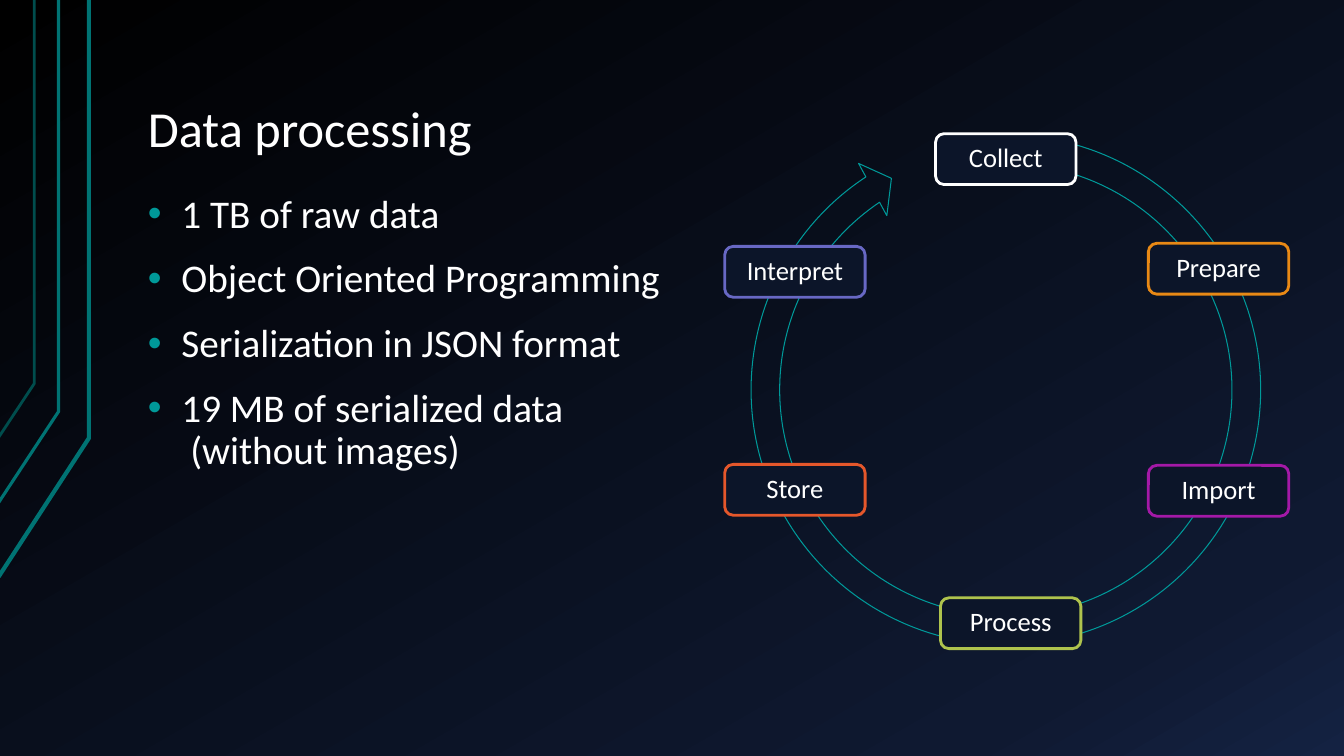
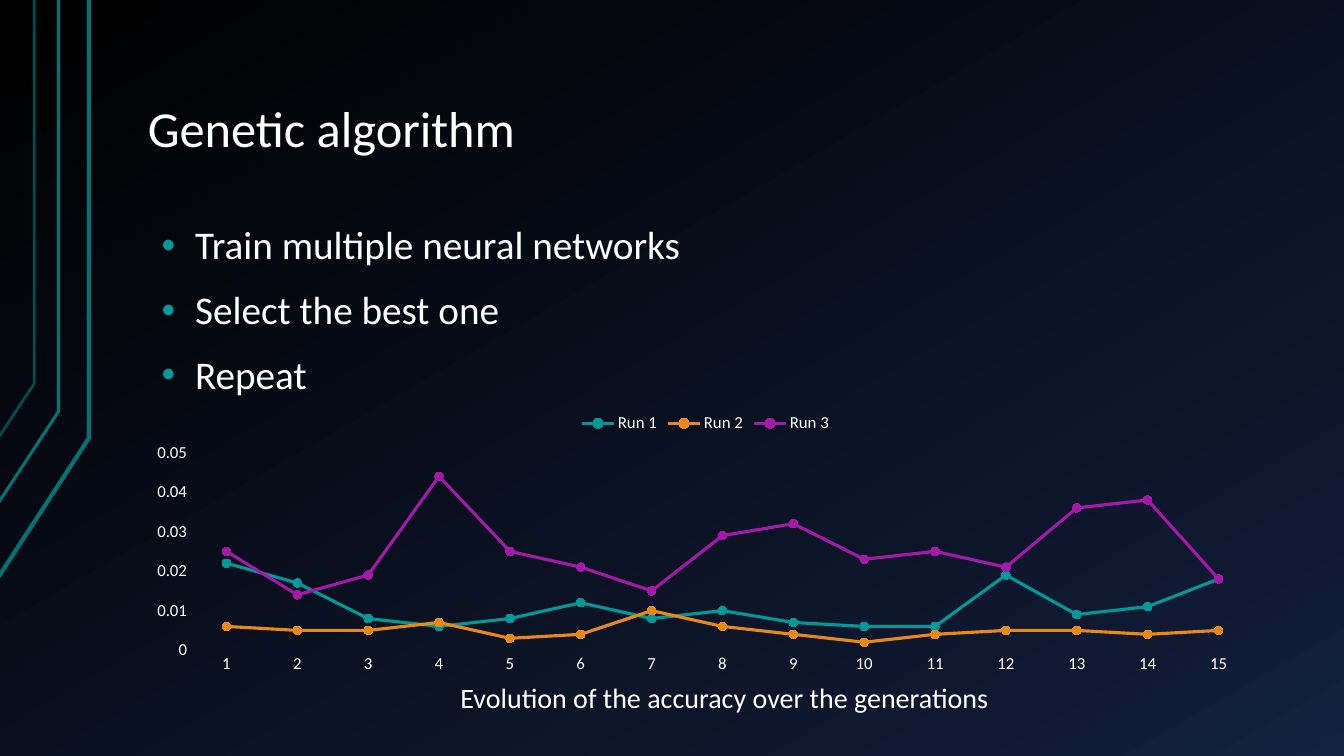
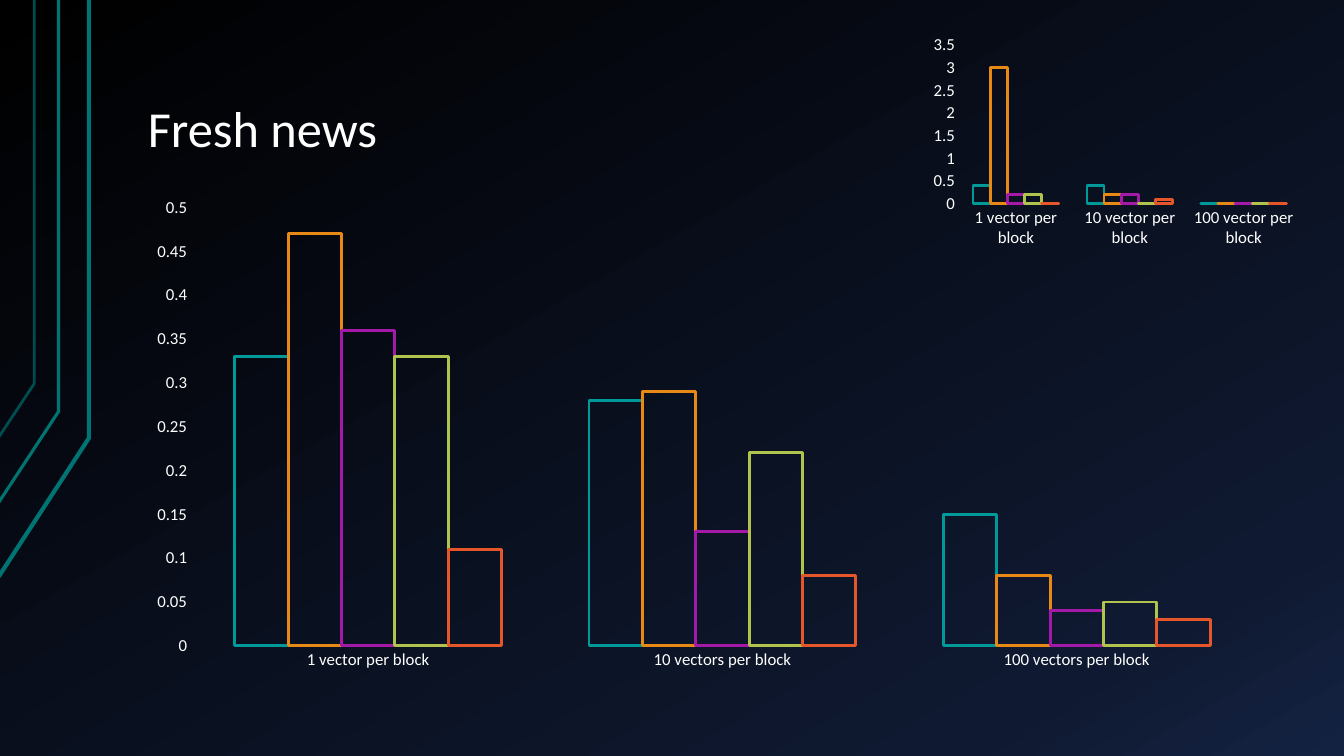
from copy import deepcopy

from lxml.etree import SubElement
from pptx import Presentation
from pptx.chart.data import CategoryChartData
from pptx.dml.color import RGBColor
from pptx.enum.chart import XL_CHART_TYPE as ChartType
from pptx.enum.chart import XL_LEGEND_POSITION as LegendPosition
from pptx.enum.chart import XL_MARKER_STYLE as MarkerStyle
from pptx.enum.chart import XL_TICK_MARK as TickMark
from pptx.enum.shapes import MSO_SHAPE as Shape
from pptx.enum.text import MSO_ANCHOR as Anchor
from pptx.enum.text import MSO_AUTO_SIZE as AutoSize
from pptx.enum.text import PP_ALIGN as Align
from pptx.oxml.ns import qn
from pptx.util import Pt

FONT = "Calibri"
WHITE = RGBColor(0xFF, 0xFF, 0xFF)
TEAL = RGBColor(0x00, 0x99, 0x99)
ORANGE = RGBColor(0xE9, 0x89, 0x15)
PURPLE = RGBColor(0xA4, 0x19, 0xA7)
LIME = RGBColor(0xAF, 0xC3, 0x4D)
RED = RGBColor(0xE5, 0x57, 0x2B)
VIOLET = RGBColor(0x68, 0x68, 0xC4)
NAVY = RGBColor(0x0C, 0x15, 0x29)
DEEP_TEAL = RGBColor(0x00, 0x73, 0x73)
DIM_TEAL = RGBColor(0x00, 0x4D, 0x4D)
SERIES_COLOURS = [TEAL, ORANGE, PURPLE, LIME, RED]

GRADIENT = [
    (0, RGBColor(0x00, 0x00, 0x00)),
    (0.85, RGBColor(0x0F, 0x19, 0x31)),
    (1, RGBColor(0x14, 0x22, 0x42)),
]
# Each stripe: x of the upright, y of the bend, y at the left edge, width, colour
STRIPES = [
    (63.5, 313, 412, 3, DEEP_TEAL),
    (41.8, 294, 359, 2.25, DEEP_TEAL),
    (24.5, 274, 312.5, 2, DIM_TEAL),
]
TITLE_AREA = (96, 21.6, 816, 96.5)
BODY_AREA = (96, 134, 816, 351.5)
TITLE_SIZE, BODY_SIZE = 36, 28

PROCESSING_POINTS = [
    "1 TB of raw data",
    "Object Oriented Programming",
    "Serialization in JSON format",
    "19 MB of serialized data\v (without images)",
]
CYCLE_AREA = (525.5, 85.5, 386, 386)
CYCLE_ANGLES = [0.053, 3.126, 147.708, 168.157, 0.055]
STEP_SIZE = (100.3, 36.3)
STEPS = [
    ("Collect", 668.3, 95.5, WHITE),
    ("Prepare", 820.3, 173.8, ORANGE),
    ("Import", 820.3, 332.4, PURPLE),
    ("Process", 671.8, 427, LIME),
    ("Store", 517.7, 331.7, RED),
    ("Interpret", 517.7, 176, VIOLET),
]

GENETIC_POINTS = ["Train multiple neural networks", "Select the best one", "Repeat"]
GENETIC_AREA = (105.8, 156.6, 816, 351.5)
CAPTION = "Evolution of the accuracy over the generations"
CAPTION_AREA = (313.5, 482.4, 408, 31.7)
ACCURACY = {
    "area": (96, 287, 816, 198.5),
    "scale": (0.05, 0.01),
    "categories": [str(number) for number in range(1, 16)],
    "series": {
        "Run 1": [0.022, 0.017, 0.008, 0.006, 0.008, 0.012, 0.008, 0.01,
                  0.007, 0.006, 0.006, 0.019, 0.009, 0.011, 0.018],
        "Run 2": [0.006, 0.005, 0.005, 0.007, 0.003, 0.004, 0.01, 0.006,
                  0.004, 0.002, 0.004, 0.005, 0.005, 0.004, 0.005],
        "Run 3": [0.025, 0.014, 0.019, 0.044, 0.025, 0.021, 0.015, 0.029,
                  0.032, 0.023, 0.025, 0.021, 0.036, 0.038, 0.018],
    },
}
NEWS_CHARTS = [
    {
        "area": BODY_AREA,
        "scale": (0.5, 0.05),
        "categories": ["1 vector per block", "10 vectors per block", "100 vectors per block"],
        "series": {
            "Series 1": [0.33, 0.28, 0.15],
            "Series 2": [0.47, 0.29, 0.08],
            "Series 3": [0.36, 0.13, 0.04],
            "Series 4": [0.33, 0.22, 0.05],
            "Series 5": [0.11, 0.08, 0.03],
        },
    },
    {
        "area": (661.5, 21.8, 273, 158.4),
        "scale": (3.5, 0.5),
        "categories": ["1 vector per block", "10 vector per block", "100 vector per block"],
        "series": {
            "Series 1": [0.4, 0.4, 0],
            "Series 2": [3, 0.2, 0],
            "Series 3": [0.2, 0.2, 0],
            "Series 4": [0.2, 0, 0],
            "Series 5": [0, 0.1, 0],
        },
    },
]


def points(area):
    return [Pt(length) for length in area]


def place(box, area):
    box.left, box.top, box.width, box.height = points(area)


def write(box, lines, size, align=Align.LEFT, spacing=0.9, before=0, bullet=None):
    frame = box.text_frame
    frame.word_wrap = True
    for index, line in enumerate(lines):
        para = frame.add_paragraph() if index else frame.paragraphs[0]
        para.text = line
        para.alignment = align
        para.line_spacing = spacing
        para.space_before = Pt(before)
        for span in para.runs:
            span.font.name = FONT
            span.font.size = Pt(size)
            span.font.color.rgb = WHITE
        if bullet:
            add_bullet(para, bullet)


def add_bullet(para, colour):
    properties = para._p.get_or_add_pPr()
    properties.set("marL", str(Pt(24)))
    properties.set("indent", str(-Pt(24)))
    holder = SubElement(properties, qn("a:buClr"))
    SubElement(holder, qn("a:srgbClr"), val=str(colour))
    SubElement(properties, qn("a:buFont"), typeface="Arial")
    SubElement(properties, qn("a:buChar"), char="•")


def style_master(master):
    fill = master.background.fill
    fill.gradient()
    fill.gradient_angle = 300
    stop_list = master.element.xpath("p:cSld/p:bg//a:gsLst")[0]
    stop_list.append(deepcopy(stop_list[-1]))
    for stop, (position, colour) in zip(fill.gradient_stops, GRADIENT):
        stop.position = position
        stop.color.rgb = colour

    title, body, *_ = master.placeholders
    for box, area, anchor, style, size in [
        (title, TITLE_AREA, Anchor.BOTTOM, "titleStyle", TITLE_SIZE),
        (body, BODY_AREA, Anchor.TOP, "bodyStyle", BODY_SIZE),
    ]:
        place(box, area)
        frame = box.text_frame
        frame.auto_size = AutoSize.NONE
        frame.vertical_anchor = anchor
        frame.margin_left = frame.margin_right = Pt(9.6)
        frame.margin_top = frame.margin_bottom = Pt(4.8)
        default = master.element.xpath(f"p:txStyles/p:{style}/a:lvl1pPr/a:defRPr")[0]
        default.set("sz", str(size * 100))


def add_stripes(master, page):
    """Draw the stripes on a page, then move them to the master, which cannot build outlines."""
    for index, (upright, bend, end, width, colour) in enumerate(STRIPES):
        builder = page.shapes.build_freeform(Pt(-1), Pt(end))
        builder.add_line_segments(
            [(Pt(upright), Pt(bend)), (Pt(upright), Pt(0))], close=False)
        stripe = builder.convert_to_shape()
        stripe.shadow.inherit = False
        stripe.fill.background()
        stripe.line.color.rgb = colour
        stripe.line.width = Pt(width)
        stripe.element.xpath(".//p:cNvPr")[0].set("id", str(100 + index))
        master.shapes.element.append(stripe.element)


def add_page(deck, title, items=(), area=BODY_AREA):
    page = deck.slides.add_slide(deck.slide_layouts[1 if items else 5])
    write(page.shapes.title, [title], TITLE_SIZE)
    if items:
        body = page.placeholders[1]
        place(body, area)
        write(body, items, BODY_SIZE, before=16, bullet=TEAL)
    return page


def add_outlined(page, kind, area, colour, width):
    shape = page.shapes.add_shape(kind, *points(area))
    shape.shadow.inherit = False
    shape.fill.background()
    shape.line.color.rgb = colour
    shape.line.width = Pt(width)
    return shape


def add_cycle(page):
    arrow = add_outlined(page, Shape.CIRCULAR_ARROW, CYCLE_AREA, TEAL, 0.75)
    arrow.rotation = 350.2
    for index, value in enumerate(CYCLE_ANGLES):
        arrow.adjustments[index] = value
    for name, left, top, colour in STEPS:
        step = add_outlined(page, Shape.ROUNDED_RECTANGLE, (left, top, *STEP_SIZE), colour, 2)
        step.fill.solid()
        step.fill.fore_color.rgb = NAVY
        step.text_frame.vertical_anchor = Anchor.MIDDLE
        write(step, [name], 19, align=Align.CENTER)


def add_plain_chart(page, kind, content):
    """Add a chart without gridlines or axis lines, its series still unstyled."""
    data = CategoryChartData()
    data.categories = content["categories"]
    for name, values in content["series"].items():
        data.add_series(name, values)
    chart = page.shapes.add_chart(kind, *points(content["area"]), data).chart
    chart.has_title = False
    chart.has_legend = False
    chart.font.name = FONT
    chart.font.size = Pt(12)
    chart.font.color.rgb = WHITE
    for axis in (chart.category_axis, chart.value_axis):
        axis.has_major_gridlines = False
        axis.major_tick_mark = axis.minor_tick_mark = TickMark.NONE
        axis.format.line.fill.background()
    scale = chart.value_axis
    scale.minimum_scale = 0
    scale.maximum_scale, scale.major_unit = content["scale"]
    scale.tick_labels.number_format = "General"
    scale.tick_labels.number_format_is_linked = False
    chart.plots[0].vary_by_categories = False
    return chart


def add_line_chart(page, content):
    chart = add_plain_chart(page, ChartType.LINE_MARKERS, content)
    chart.has_legend = True
    chart.legend.position = LegendPosition.TOP
    chart.legend.include_in_layout = False
    for series, colour in zip(chart.plots[0].series, SERIES_COLOURS):
        series.smooth = False
        series.format.line.color.rgb = colour
        series.format.line.width = Pt(2.25)
        marker = series.marker
        marker.style = MarkerStyle.CIRCLE
        marker.size = 6
        marker.format.fill.solid()
        marker.format.fill.fore_color.rgb = colour
        marker.format.line.fill.background()


def add_column_chart(page, content):
    chart = add_plain_chart(page, ChartType.COLUMN_CLUSTERED, content)
    plot = chart.plots[0]
    plot.gap_width = 164
    plot.overlap = 0
    for series, colour in zip(plot.series, SERIES_COLOURS):
        series.format.fill.background()
        series.format.line.color.rgb = colour
        series.format.line.width = Pt(2)


def main():
    deck = Presentation()
    deck.slide_width, deck.slide_height = Pt(960), Pt(540)
    style_master(deck.slide_master)

    processing = add_page(deck, "Data processing", PROCESSING_POINTS)
    add_stripes(deck.slide_master, processing)
    add_cycle(processing)

    genetic = add_page(deck, "Genetic algorithm", GENETIC_POINTS, GENETIC_AREA)
    add_line_chart(genetic, ACCURACY)
    caption = genetic.shapes.add_textbox(*points(CAPTION_AREA))
    write(caption, [CAPTION], 20, align=Align.CENTER, spacing=1.0)

    news = add_page(deck, "Fresh news")
    for content in NEWS_CHARTS:
        add_column_chart(news, content)

    deck.save("out.pptx")


if __name__ == "__main__":
    main()
